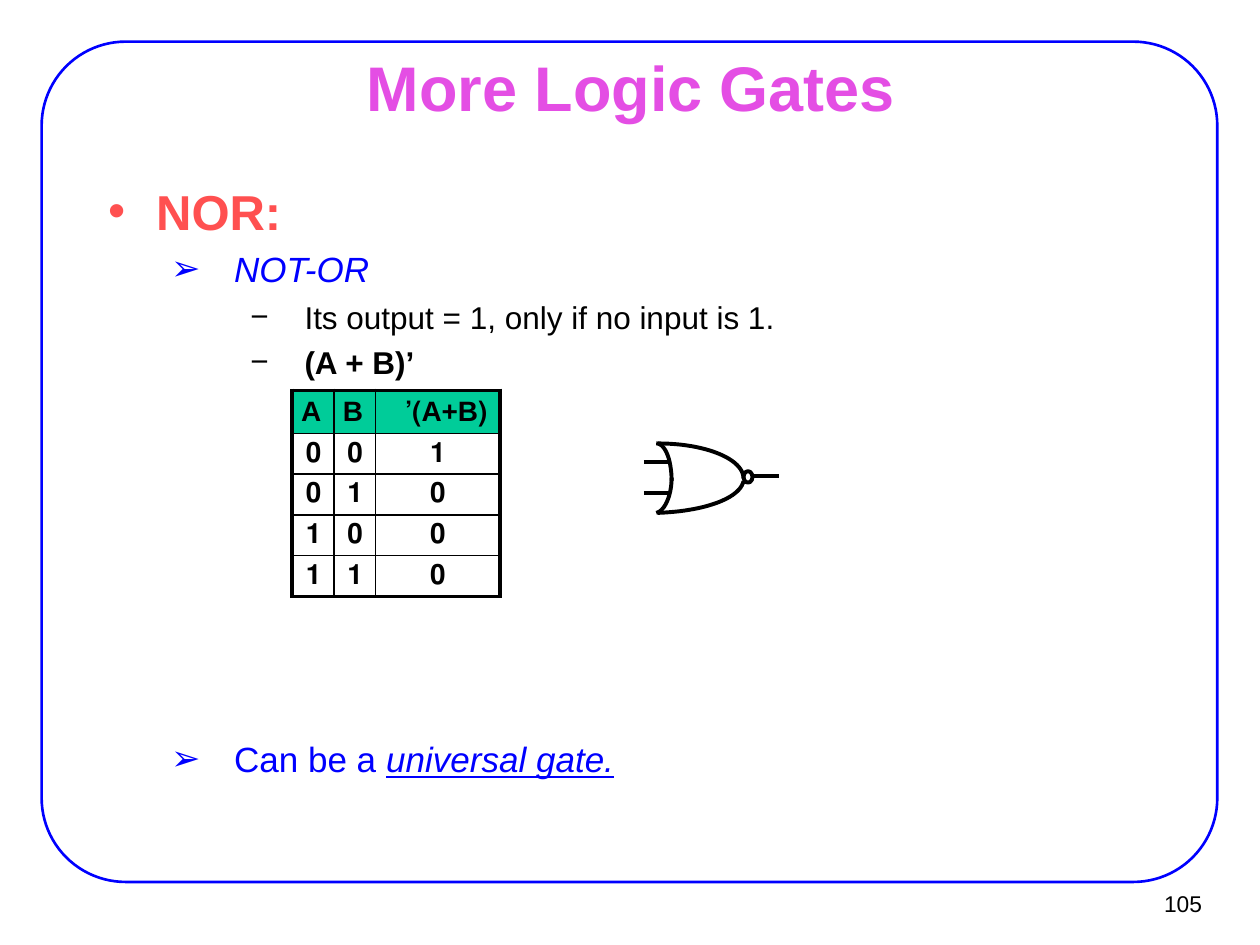
import lxml.etree
import pptx
import pptx.dml.color
import pptx.enum.shapes
import pptx.enum.text
import pptx.oxml.ns
import pptx.util

Cm = pptx.util.Cm
Pt = pptx.util.Pt
qn = pptx.oxml.ns.qn
ALIGN = pptx.enum.text.PP_ALIGN
ANCHOR = pptx.enum.text.MSO_ANCHOR
SHAPE = pptx.enum.shapes.MSO_SHAPE


def color(hex_text):
    return pptx.dml.color.RGBColor.from_string(hex_text)


def set_all(obj, values):
    for name, value in values.items():
        setattr(obj, name, value)


def bezier(p0, p1, p2, p3, steps=24):
    points = []
    for i in range(steps + 1):
        t = i / steps
        weights = ((1 - t) ** 3, 3 * t * (1 - t) ** 2, 3 * t * t * (1 - t), t ** 3)
        points.append(tuple(
            Cm(sum(w * c for w, c in zip(weights, axis)))
            for axis in zip(p0, p1, p2, p3)))
    return points


class Deck:
    font = "Arial"
    black = "000000"
    blue = "0000FF"
    stroke = 2.25
    levels = [
        {"bullet": "•", "left": 0.97, "hang": 0.97, "size": 28, "color": "FF5050"},
        {"bullet": "➢", "left": 2.54, "hang": 1.27, "size": 20, "color": blue},
        {"bullet": "−", "left": 3.96, "hang": 1.09, "size": 18, "color": black},
    ]

    def __init__(self, slide):
        self.s = slide

    def run(self, p, text, size, hex_text, **values):
        r = p.add_run()
        r.text = text
        set_all(r.font, {"name": self.font, "size": Pt(size), **values})
        r.font.color.rgb = color(hex_text)

    def outline(self, sp, hex_text=black, width=stroke):
        sp.shadow.inherit = False
        sp.fill.background()
        sp.line.color.rgb = color(hex_text)
        sp.line.width = Pt(width)

    def shape(self, kind, box, **line):
        sp = self.s.shapes.add_shape(kind, *map(Cm, box))
        self.outline(sp, **line)
        return sp

    def line(self, x1, x2, y):
        sp = self.s.shapes.add_connector(
            pptx.enum.shapes.MSO_CONNECTOR.STRAIGHT, Cm(x1), Cm(y), Cm(x2), Cm(y))
        sp.line.color.rgb = color(self.black)
        sp.line.width = Pt(self.stroke)
        lxml.etree.SubElement(sp._element.spPr, qn("a:effectLst"))

    def curve(self, *controls):
        start, *rest = bezier(*controls)
        builder = self.s.shapes.build_freeform(*start)
        builder.add_line_segments(rest, close=False)
        self.outline(builder.convert_to_shape())

    def text(self, box, **values):
        tf = self.s.shapes.add_textbox(*map(Cm, box)).text_frame
        set_all(tf, {"word_wrap": True, "margin_left": Cm(0.28), "margin_right": Cm(0.28),
                     "margin_top": Cm(0.15), "margin_bottom": Cm(0.15), **values})
        return tf

    def label(self, box, text, size, hex_text, align, bold=False, **values):
        p = self.text(box, vertical_anchor=ANCHOR.MIDDLE, **values).paragraphs[0]
        p.alignment = align
        self.run(p, text, size, hex_text, bold=bold)

    def bullets(self, box, items):
        tf = self.text(box)
        for i, (level, gap, runs) in enumerate(items):
            p = tf.add_paragraph() if i else tf.paragraphs[0]
            style = self.levels[level]
            set_all(p, {"level": level, "space_before": Pt(gap)})
            pPr = p._p.get_or_add_pPr()
            pPr.set("marL", str(Cm(style["left"])))
            pPr.set("indent", str(-Cm(style["hang"])))
            lxml.etree.SubElement(pPr, qn("a:buFont")).set("typeface", self.font)
            lxml.etree.SubElement(pPr, qn("a:buChar")).set("char", style["bullet"])
            for text, values in runs:
                self.run(p, text, style["size"], style["color"], **values)

    def border(self, cell, side, width):
        ln = lxml.etree.SubElement(cell._tc.get_or_add_tcPr(), qn("a:ln" + side))
        ln.set("w", str(Pt(width)))
        fill = lxml.etree.SubElement(ln, qn("a:solidFill"))
        lxml.etree.SubElement(fill, qn("a:srgbClr")).set("val", self.black)

    def table(self, left, top, widths, heights, rows, head_fill):
        last_row, last_col = len(rows) - 1, len(widths) - 1
        table = self.s.shapes.add_table(
            len(rows), len(widths), Cm(left), Cm(top),
            Cm(sum(widths)), Cm(sum(heights))).table
        set_all(table, {"first_row": False, "horz_banding": False})
        for column, width in zip(table.columns, widths):
            column.width = Cm(width)
        for i, row in enumerate(rows):
            table.rows[i].height = Cm(heights[i])
            for j, text in enumerate(row):
                cell = table.cell(i, j)
                set_all(cell, {"margin_top": Cm(0.06), "margin_bottom": Cm(0.06),
                               "vertical_anchor": ANCHOR.MIDDLE})
                outer = {"L": j == 0, "R": j == last_col, "T": i == 0, "B": i == last_row}
                for side, is_outer in outer.items():
                    self.border(cell, side, self.stroke if is_outer else 1)
                if i == 0:
                    cell.fill.solid()
                    cell.fill.fore_color.rgb = color(head_fill)
                else:
                    cell.fill.background()
                p = cell.text_frame.paragraphs[0]
                p.alignment = ALIGN.CENTER if i and j == last_col else ALIGN.RIGHT
                p._p.get_or_add_pPr().set("rtl", "1")
                self.run(p, text, 16, self.black, bold=True)


def main():
    prs = pptx.Presentation()
    prs.slide_width, prs.slide_height = Cm(25.4), Cm(19.05)
    deck = Deck(prs.slides.add_slide(prs.slide_layouts[6]))

    frame = deck.shape(SHAPE.ROUNDED_RECTANGLE, (0.84, 0.84, 23.7, 16.94),
                       hex_text=deck.blue, width=1.5)
    frame.adjustments[0] = 0.1
    deck.label((22.91, 17.75, 1.55, 0.94), "105", 13, deck.black, ALIGN.RIGHT,
               word_wrap=False, margin_left=Cm(0.23), margin_right=Cm(0.23))
    deck.label((1.93, 1.12, 21.59, 1.24), "More Logic Gates", 36, "E44EE4",
               ALIGN.CENTER, bold=True)
    deck.bullets((1.9, 3.5, 21.59, 12.78), [
        (0, 0, [("NOR:", {"bold": True})]),
        (1, 4.6, [("NOT-OR", {"italic": True})]),
        (2, 4.4, [("Its output = 1, only if no input is 1.", {})]),
        (2, 4.4, [("(A + B)’", {"bold": True})]),
        (1, 204, [("Can be a ", {}),
                  ("universal gate.", {"italic": True, "underline": True})]),
    ])
    deck.table(5.89, 7.87, [0.84, 0.84, 2.51], [0.87] + [0.82] * 4,
               [("A", "B", "(A+B)’"), "001", "010", "100", "110"], "00CC99")

    for y in (9.32, 9.94):
        deck.line(12.98, 13.49, y)
    deck.curve((13.54, 9.63), (13.54, 10.01), (13.39, 10.31), (13.23, 10.34))
    deck.curve((14.99, 9.7), (14.91, 10.06), (14.17, 10.31), (13.26, 10.34))
    deck.curve((13.23, 8.94), (13.41, 8.94), (13.54, 9.27), (13.54, 9.7))
    deck.curve((13.26, 8.94), (14.22, 8.94), (14.99, 9.25), (14.99, 9.65))
    deck.shape(SHAPE.OVAL, (14.99, 9.5, 0.18, 0.23))
    deck.line(15.16, 15.7, 9.6)

    prs.save("out.pptx")


if __name__ == "__main__":
    main()
